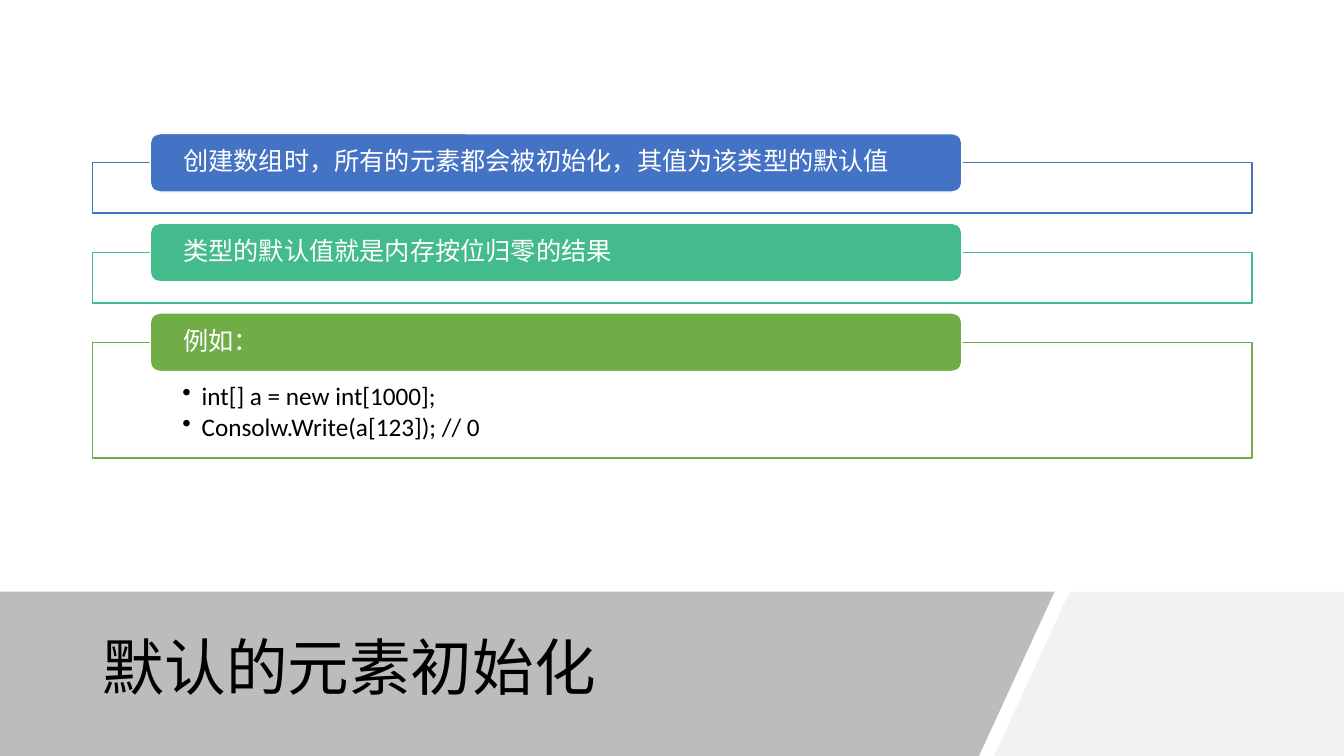
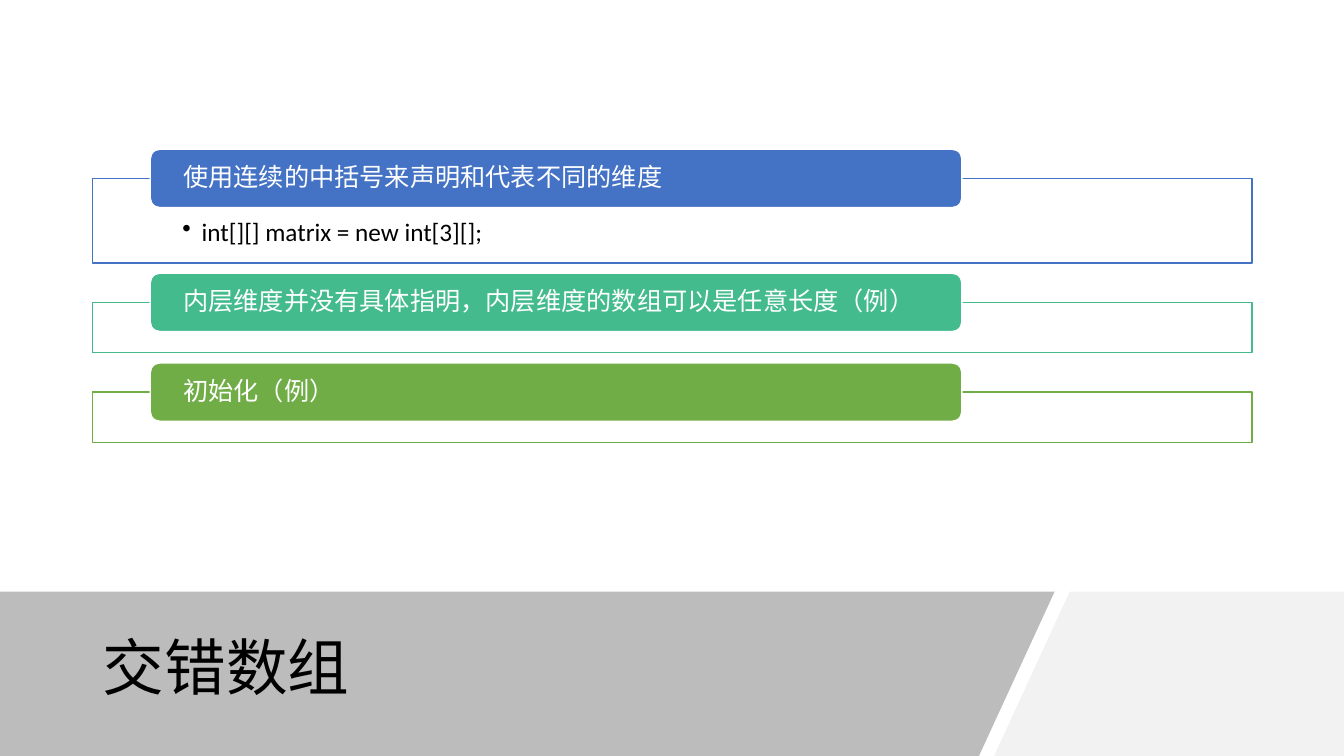
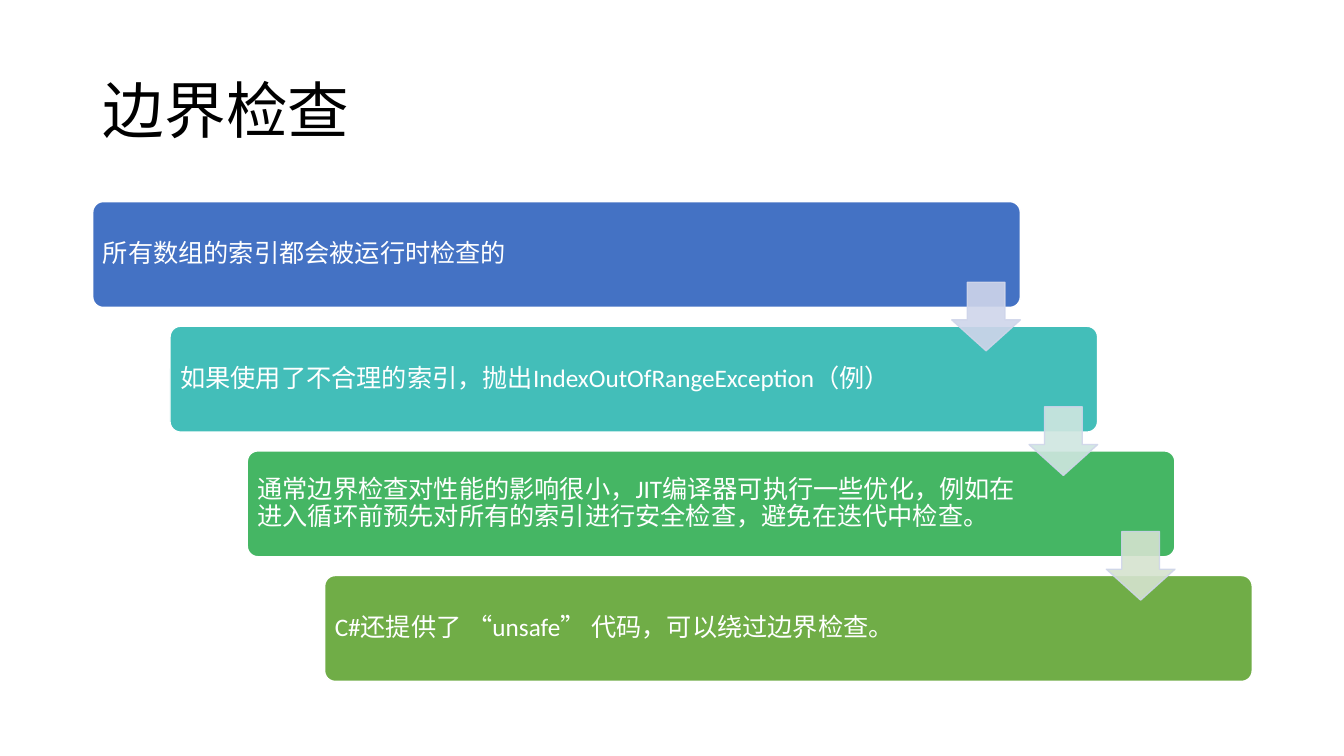
import lxml.etree
import pptx
import pptx.dml.color
import pptx.enum.lang
import pptx.enum.shapes
import pptx.enum.text
import pptx.oxml.ns
import pptx.util

Inches = pptx.util.Inches
Shape = pptx.enum.shapes.MSO_SHAPE
Anchor = pptx.enum.text.MSO_ANCHOR

WHITE, BLACK = "FFFFFF", "000000"
BLUE, TEAL, MINT, GREEN, OLIVE = "4472C4", "43BEB9", "43BB8D", "45B664", "70AD47"
ARROW_LINE = "CFD5EA"
BODY_FONT, TITLE_FONT = "Calibri", "Quicksand"
SLIDE_WIDTH, SLIDE_HEIGHT, BAND_TOP = 13.33, 7.5, 5.87
MARGIN, CONTENT_WIDTH = 0.92, 11.5


def color(value):
    """Turn a hex string into a colour."""
    return pptx.dml.color.RGBColor.from_string(value)


def set_alpha(shape, percent):
    """Make every colour of the shape partly transparent."""
    for element in list(shape.element.iter(pptx.oxml.ns.qn("a:srgbClr"))):
        alpha = lxml.etree.SubElement(element, pptx.oxml.ns.qn("a:alpha"))
        alpha.set("val", str(percent * 1000))


def style_shape(shape, fill, line=None, alpha=None):
    """Give a shape its fill, outline and transparency, without a shadow."""
    shape.shadow.inherit = False
    shape.fill.solid()
    shape.fill.fore_color.rgb = color(fill)
    if line:
        shape.line.color.rgb = color(line)
        shape.line.width = pptx.util.Pt(1)
    else:
        shape.line.fill.background()
    if alpha:
        set_alpha(shape, alpha)


def add_box(slide, kind, box, fill, line, alpha=None):
    """Add a preset shape at left, top, width, height in inches."""
    shape = slide.shapes.add_shape(kind, *map(Inches, box))
    style_shape(shape, fill, line, alpha)
    return shape


def set_bullet(paragraph, indent=0.19):
    """Give a paragraph a hanging round bullet."""
    properties = paragraph._p.get_or_add_pPr()
    properties.set("marL", str(Inches(indent)))
    properties.set("indent", str(-Inches(indent)))
    bullet = lxml.etree.SubElement(properties, pptx.oxml.ns.qn("a:buChar"))
    bullet.set("char", "•")


def write_text(shape, *lines, size=18, font=BODY_FONT, text_color=WHITE, anchor=Anchor.MIDDLE,
               insets=(0.1, 0.05, 0.1, 0.05), bullets=False, space_after=0):
    """Write one paragraph for each line into a shape."""
    frame = shape.text_frame
    frame.word_wrap = True
    frame.auto_size = pptx.enum.text.MSO_AUTO_SIZE.NONE
    frame.vertical_anchor = anchor
    frame.margin_left, frame.margin_top, frame.margin_right, frame.margin_bottom = map(Inches, insets)
    for index, line in enumerate(lines):
        paragraph = frame.add_paragraph() if index else frame.paragraphs[0]
        paragraph.alignment = pptx.enum.text.PP_ALIGN.LEFT
        paragraph.line_spacing = 0.9
        paragraph.space_before = pptx.util.Pt(0)
        paragraph.space_after = pptx.util.Pt(space_after)
        if bullets:
            set_bullet(paragraph)
        run = paragraph.add_run()
        run.text = line
        run.font.size = pptx.util.Pt(size)
        run.font.name = font
        run.font.color.rgb = color(text_color)
        run.font.language_id = pptx.enum.lang.MSO_LANGUAGE_ID.SIMPLIFIED_CHINESE


def add_outline(slide, points, fill, alpha=None):
    """Add a closed outline through points in inches."""
    start, *others = [(Inches(x), Inches(y)) for x, y in points]
    builder = slide.shapes.build_freeform(*start)
    builder.add_line_segments(others, close=True)
    style_shape(builder.convert_to_shape(), fill, alpha=alpha)


def add_band(slide):
    """Draw the slanted band along the foot of the slide."""
    right, bottom = SLIDE_WIDTH, SLIDE_HEIGHT
    add_outline(slide, [(10.61, BAND_TOP), (right, BAND_TOP), (right, bottom), (9.86, bottom)], "F2F2F2")
    add_outline(slide, [(0, BAND_TOP), (10.46, BAND_TOP), (9.71, bottom), (0, bottom)], "595959", alpha=40)


def place_title(slide, text, box):
    """Move the title to its box, in front of what is drawn so far."""
    title = slide.shapes.title
    title.left, title.top, title.width, title.height = map(Inches, box)
    title.element.getparent().append(title.element)
    write_text(title, text, size=44, font=TITLE_FONT, text_color=BLACK)


def add_section(slide, box, heading, details, accent):
    """Draw an outlined panel with a heading tab across its top edge."""
    left, top, width, height = box
    panel = add_box(slide, Shape.RECTANGLE, box, WHITE, accent)
    if details:
        write_text(panel, *details, text_color=BLACK, anchor=Anchor.TOP,
                   insets=(0.89, 0.41, 0.89, 0.14), bullets=True, space_after=2.7)
    tab_box = (left + 0.57, top - 0.29, width * 0.7, 0.58)
    tab = add_box(slide, Shape.ROUNDED_RECTANGLE, tab_box, accent, WHITE)
    write_text(tab, heading, insets=(0.3, 0, 0.3, 0))


def add_section_list(slide, box, sections):
    """Stack the sections and centre them vertically in the box."""
    left, top, width, height = box
    overhang, gap = 0.29, 0.1
    heights = [0.53 + 0.31 * len(details) if details else 0.5 for _, details in sections]
    total = sum(heights) + overhang * len(sections) + gap * (len(sections) - 1)
    panel_top = top + (height - total) / 2 + overhang
    for (heading, details), panel_height, accent in zip(sections, heights, (BLUE, MINT, OLIVE)):
        add_section(slide, (left, panel_top, width, panel_height), heading, details, accent)
        panel_top += panel_height + gap + overhang


def add_staircase(slide, box, steps, arrow_fills):
    """Draw steps descending to the right, then the arrows between them."""
    left, top, width, height = box
    step_width, step_height, arrow_size = width * 0.8, 1.05, 0.68
    shift = (width - step_width) / (len(steps) - 1)
    drop = (height - step_height) / (len(steps) - 1)
    for index, (text, fill) in enumerate(steps):
        step_box = (left + index * shift, top + index * drop, step_width, step_height)
        step = add_box(slide, Shape.ROUNDED_RECTANGLE, step_box, fill, WHITE)
        step.adjustments[0] = 0.1
        write_text(step, text, insets=(0.07, 0.07, 1.52, 0.07))
    for index, fill in enumerate(arrow_fills):
        arrow_left = left + index * shift + step_width - arrow_size
        arrow_box = (arrow_left, top + index * drop + 0.8, arrow_size, arrow_size)
        arrow = add_box(slide, Shape.DOWN_ARROW, arrow_box, fill, ARROW_LINE, alpha=90)
        arrow.adjustments[0], arrow.adjustments[1] = 0.55, 0.45


def add_slide(presentation):
    """Add a slide with only its title placeholder."""
    slide = presentation.slides.add_slide(presentation.slide_layouts[5])
    return slide


def build_section_slide(presentation, title, sections):
    """Build a slide with a section list above the titled band."""
    slide = add_slide(presentation)
    add_band(slide)
    place_title(slide, title, (MARGIN, 6.05, 8.83, 1.2))
    add_section_list(slide, (MARGIN, 0, CONTENT_WIDTH, BAND_TOP), sections)


def build_staircase_slide(presentation, title, steps, arrow_fills):
    """Build a slide with its title above a staircase of steps."""
    slide = add_slide(presentation)
    place_title(slide, title, (MARGIN, 0.4, CONTENT_WIDTH, 1.45))
    add_staircase(slide, (MARGIN, 2, CONTENT_WIDTH, 4.76), steps, arrow_fills)


def main():
    """Build and save the presentation."""
    presentation = pptx.Presentation()
    presentation.slide_width = Inches(SLIDE_WIDTH)
    presentation.slide_height = Inches(SLIDE_HEIGHT)
    build_section_slide(presentation, "默认的元素初始化", [
        ("创建数组时，所有的元素都会被初始化，其值为该类型的默认值", []),
        ("类型的默认值就是内存按位归零的结果", []),
        ("例如：", ["int[] a = new int[1000];", "Consolw.Write(a[123]); // 0"]),
    ])
    build_section_slide(presentation, "交错数组", [
        ("使用连续的中括号来声明和代表不同的维度", ["int[][] matrix = new int[3][];"]),
        ("内层维度并没有具体指明，内层维度的数组可以是任意长度（例）", []),
        ("初始化（例）", []),
    ])
    build_staircase_slide(presentation, "边界检查", [
        ("所有数组的索引都会被运行时检查的", BLUE),
        ("如果使用了不合理的索引，抛出IndexOutOfRangeException（例）", TEAL),
        ("通常边界检查对性能的影响很小，JIT编译器可执行一些优化，"
         "例如在进入循环前预先对所有的索引进行安全检查，避免在迭代中检查。", GREEN),
        ("C#还提供了 “unsafe” 代码，可以绕过边界检查。", OLIVE),
    ], ["CFD5EA", "CFE6E0", "D5E3CF"])
    presentation.save("out.pptx")


if __name__ == "__main__":
    main()
